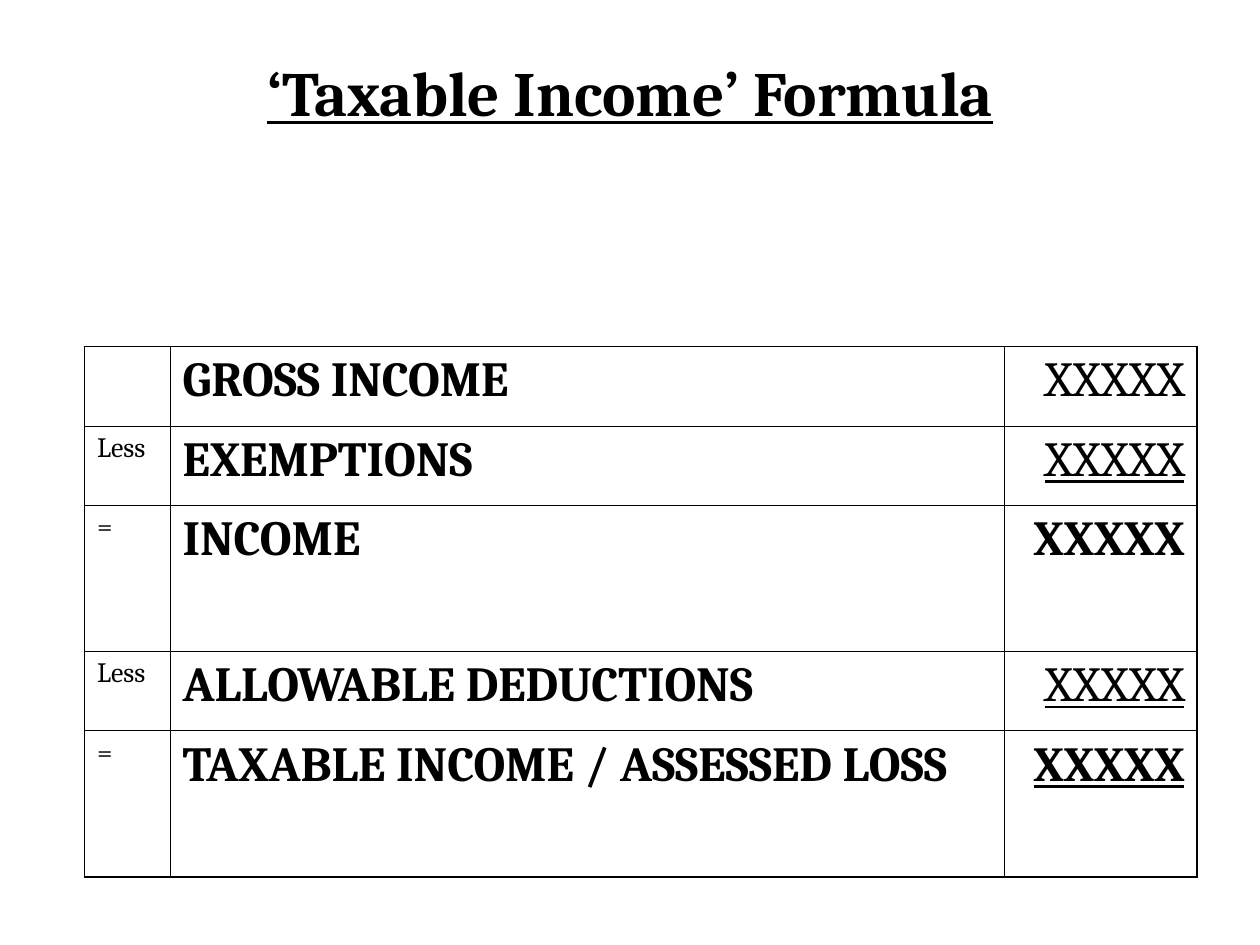
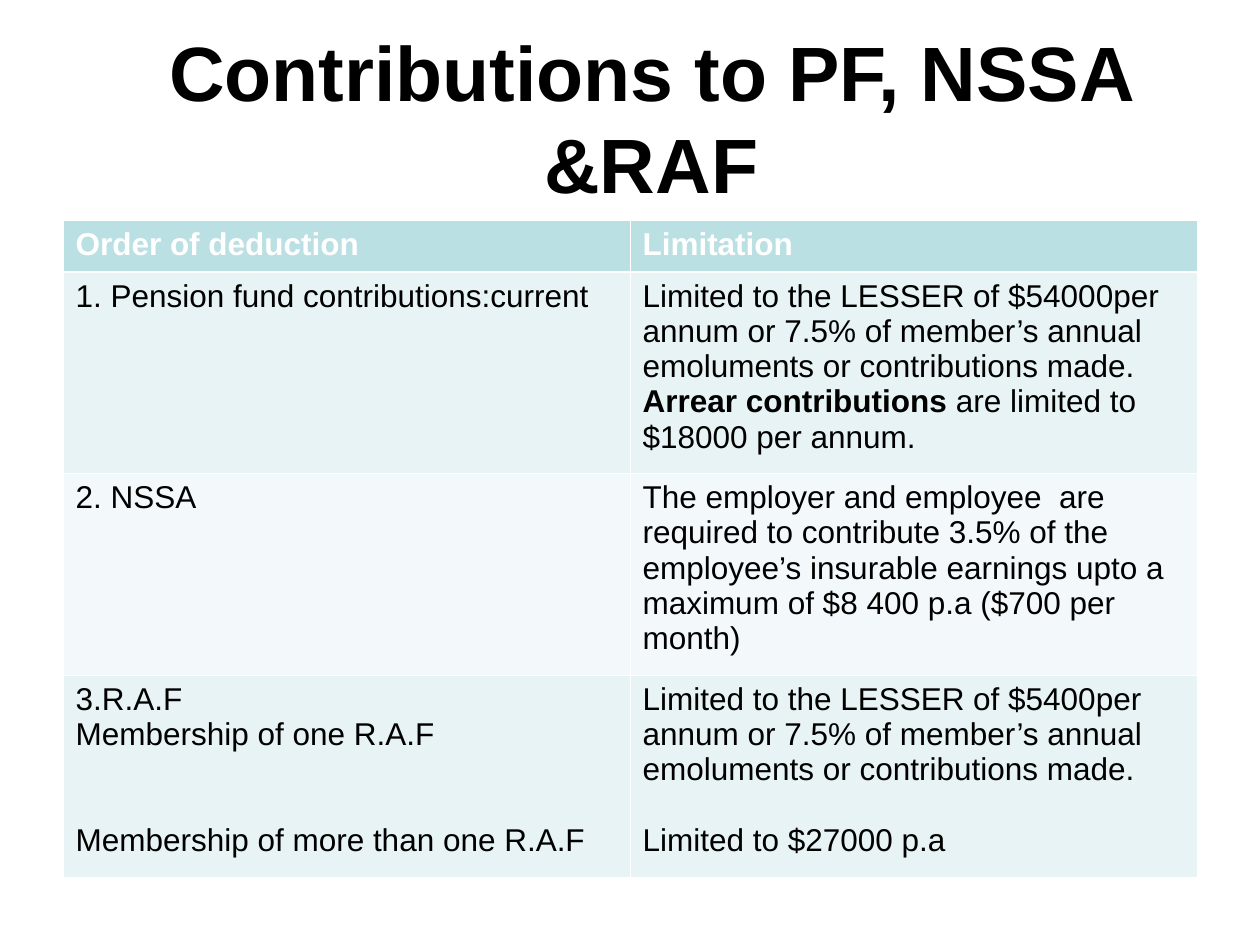
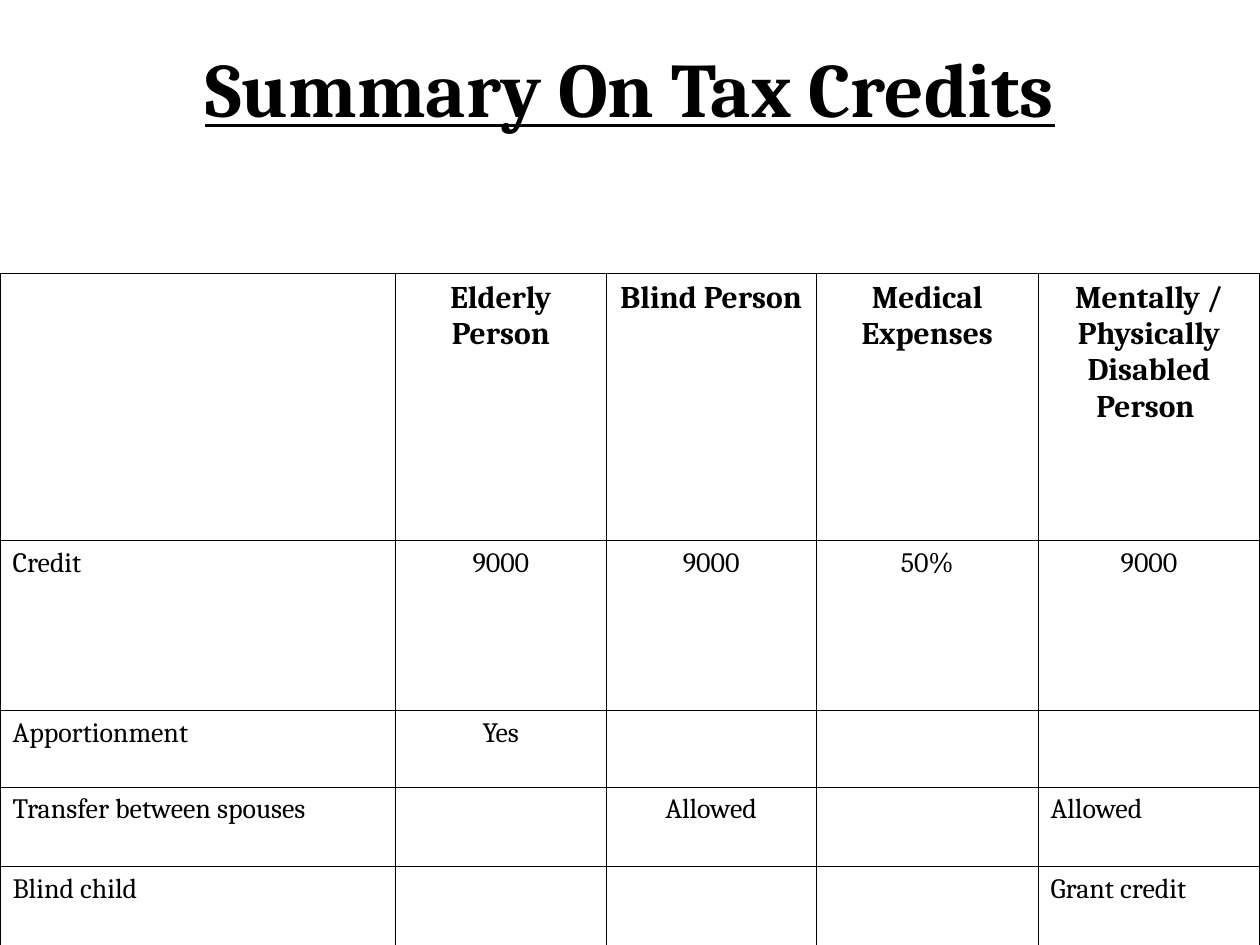
"""Build three tax slides, each a title over a table."""
from dataclasses import dataclass

from lxml.etree import SubElement
from pptx import Presentation
from pptx.dml.color import RGBColor
from pptx.enum.text import MSO_ANCHOR, PP_ALIGN
from pptx.oxml.ns import qn
from pptx.util import Inches, Pt


@dataclass(frozen=True)
class Theme:
    black: str = "000000"
    white: str = "FFFFFF"
    head: str = "BBE0E3"
    band: str = "E7F3F4"
    pale: str = "F3F9FA"
    serif: str = "Cambria"
    sans: str = "Arial"
    title: int = 44
    short: int = 36
    large: int = 28
    text: int = 18
    small: int = 16
    line: float = 20.1
    thin: float = 0.45
    edge: float = 1.08
    rule: float = 1.47


@dataclass(frozen=True)
class Run:
    text: str
    size: int
    font: str
    bold: bool = False
    under: bool = False
    color: str = "000000"


@dataclass(frozen=True)
class Para:
    runs: tuple
    align: PP_ALIGN = PP_ALIGN.LEFT
    gap: float = 0


THEME = Theme()
LEFT, MID, RIGHT = PP_ALIGN.LEFT, PP_ALIGN.CENTER, PP_ALIGN.RIGHT


def write(frame, paras):
    for i, para in enumerate(paras):
        p = frame.add_paragraph() if i else frame.paragraphs[0]
        p.alignment = para.align
        if para.gap:
            p.space_before = Pt(para.gap)
        for item in para.runs:
            run = p.add_run()
            run.text = item.text
            font = run.font
            font.name, font.size = item.font, Pt(item.size)
            font.bold, font.underline = item.bold, item.under
            font.color.rgb = RGBColor.from_string(item.color)


def add_title(slide, box, run):
    shape = slide.shapes.add_textbox(*map(Inches, box))
    frame = shape.text_frame
    frame.word_wrap = True
    frame.vertical_anchor = MSO_ANCHOR.MIDDLE
    write(frame, [Para((run,), MID)])


def add_edge(cell, side, width, color):
    line = SubElement(cell._tc.get_or_add_tcPr(), qn(f"a:ln{side}"), w=str(Pt(width)))
    fill = SubElement(line, qn("a:solidFill"))
    SubElement(fill, qn("a:srgbClr"), val=color)


def add_grid(slide, left, top, cols, rows, cells, color, edge, rule, fills=None):
    """Draw a table with outer edges, a rule under the head, and row fills."""
    box = map(Inches, (left, top, sum(cols), sum(rows)))
    table = slide.shapes.add_table(len(rows), len(cols), *box).table
    table.first_row = table.horz_banding = False
    for col, width in zip(table.columns, cols):
        col.width = Inches(width)
    for row, height in zip(table.rows, rows):
        row.height = Inches(height)
    end_r, end_c = len(rows) - 1, len(cols) - 1
    thin = THEME.thin
    for r, line in enumerate(cells):
        for c, paras in enumerate(line):
            cell = table.cell(r, c)
            add_edge(cell, "L", edge if c == 0 else thin, color)
            add_edge(cell, "R", edge if c == end_c else thin, color)
            add_edge(cell, "T", (edge, rule)[r] if r < 2 else thin, color)
            add_edge(cell, "B", rule if r == 0 else edge if r == end_r else thin, color)
            if fills:
                cell.fill.solid()
                cell.fill.fore_color.rgb = RGBColor.from_string(fills[r])
            else:
                cell.fill.background()
            write(cell.text_frame, paras)


def serif(text, size, align=LEFT, bold=False, under=False):
    return [Para((Run(text, size, THEME.serif, bold, under),), align)] if text else []


def sans(text, gap=0, bold=False, color=THEME.black):
    return Para((Run(text, THEME.text, THEME.sans, bold, color=color),), gap=gap)


def add_income(slide):
    add_title(slide, (0.5, 0.3, 9, 0.85),
              Run("‘Taxable Income’ Formula", THEME.short, THEME.serif, True, True))
    lines = [
        ("", "GROSS INCOME", False, False),
        ("Less", "EXEMPTIONS", False, True),
        ("=", "INCOME", True, False),
        ("Less", "ALLOWABLE DEDUCTIONS", False, True),
        ("=", "TAXABLE INCOME / ASSESSED LOSS", True, True),
    ]
    cells = [(serif(sign, THEME.small),
              serif(name, THEME.large, bold=True),
              serif("XXXXX", THEME.large, RIGHT, bold, under))
             for sign, name, bold, under in lines]
    rows = [1.16 if sign == "=" else 0.63 for sign, *_ in lines]
    add_grid(slide, 0.67, 2.75, (0.68, 6.62, 1.53), rows, cells,
             THEME.black, THEME.edge, THEME.thin)


def add_funds(slide):
    add_title(slide, (0.67, 0.3, 9, 1.25),
              Run("Contributions to PF, NSSA &RAF", THEME.title, THEME.sans, True))
    limit = "Limited to the LESSER of ${}per annum or 7.5% of member’s annual emoluments or contributions made."
    arrear = Para(sans("Arrear contributions", bold=True).runs
                  + sans(" are limited to $18000 per annum.").runs)
    cells = [
        [[sans(name, bold=True, color=THEME.white)] for name in ("Order of deduction", "Limitation")],
        ([sans("1. Pension fund contributions:current")],
         [sans(limit.format(54000)), arrear]),
        ([sans("2. NSSA")],
         [sans("The employer and employee  are required to contribute 3.5% of the employee’s "
               "insurable earnings upto a maximum of $8 400 p.a ($700 per month)")]),
        ([sans("3.R.A.F"), sans("Membership of one R.A.F"),
          sans("Membership of more than one R.A.F", 2 * THEME.line)],
         [sans(limit.format(5400)), sans("Limited to $27000 p.a", THEME.line)]),
    ]
    add_grid(slide, 0.5, 1.75, (4.5, 4.5), (0.41, 1.6, 1.6, 1.6), cells,
             THEME.white, THEME.thin, THEME.rule,
             (THEME.head, THEME.band, THEME.pale, THEME.band))


def add_credits(slide):
    add_title(slide, (0.5, 0.3, 9, 0.78),
              Run("Summary On Tax Credits", THEME.title, THEME.serif, True, True))
    heads = ("", "Elderly Person", "Blind Person", "Medical Expenses",
             "Mentally / Physically Disabled Person ")
    lines = [
        ("Credit", "9000", "9000", "50%", "9000"),
        ("Apportionment", "Yes", "", "", ""),
        ("Transfer between spouses", "", "Allowed", "", "Allowed"),
        ("Blind child", "", "", "", "Grant credit"),
    ]
    cells = [[serif(name, THEME.text, MID, True) for name in heads]]
    for r, line in enumerate(lines):
        last = MID if r == 0 else LEFT
        sides = (LEFT, MID, MID, MID, last)
        cells.append([serif(text, THEME.small, side) for text, side in zip(line, sides)])
    add_grid(slide, 0, 2.17, (3.14, 1.67, 1.67, 1.76, 1.76),
             (2.12, 1.35, 0.61, 0.63, 0.63), cells,
             THEME.black, THEME.edge, THEME.thin)


def main():
    deck = Presentation()
    deck.slide_width, deck.slide_height = Inches(10), Inches(7.5)
    for build in (add_income, add_funds, add_credits):
        build(deck.slides.add_slide(deck.slide_layouts[6]))
    deck.save("out.pptx")


if __name__ == "__main__":
    main()
